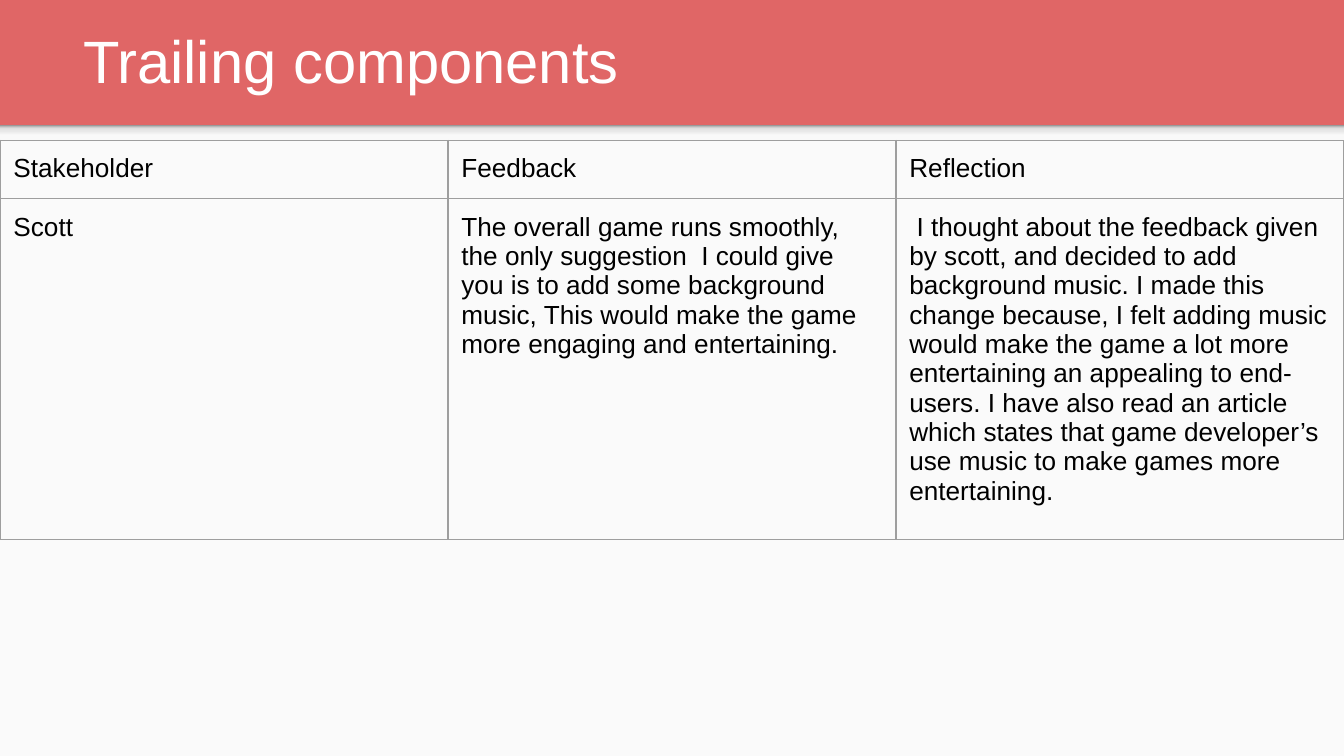
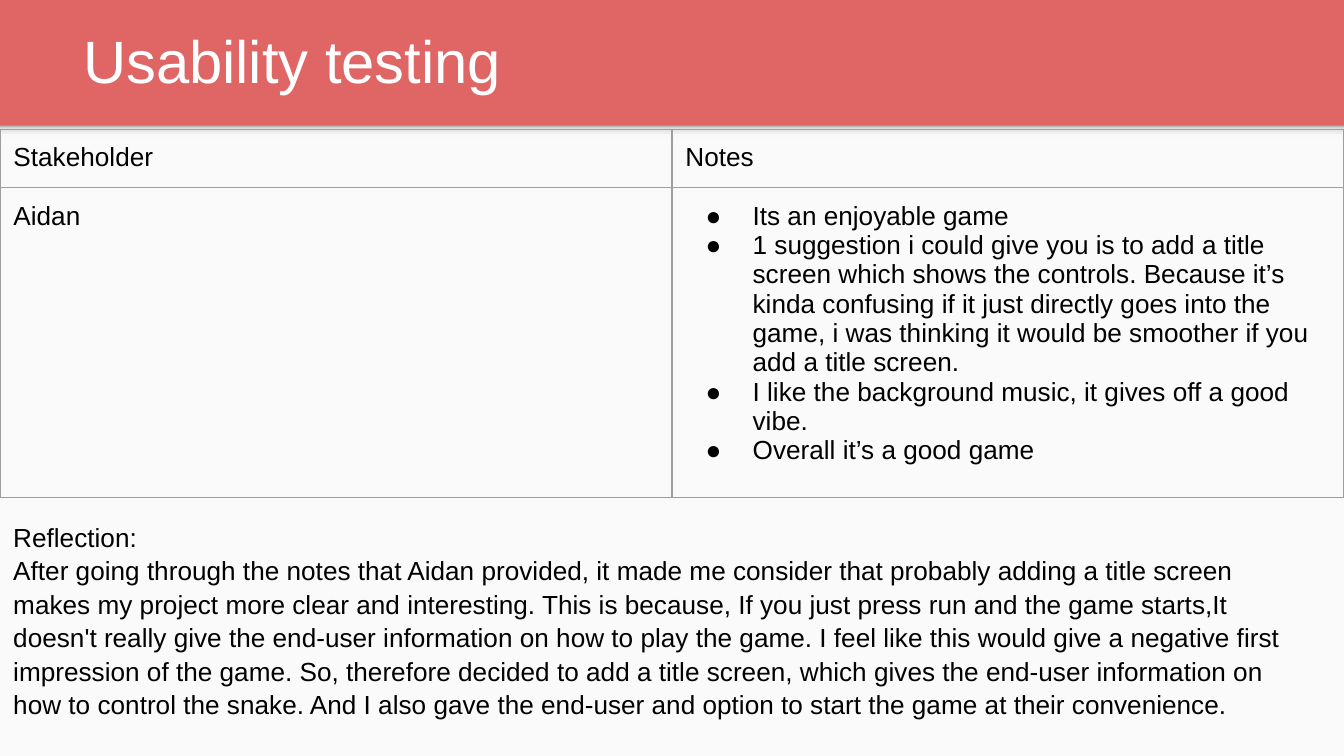
from lxml.etree import SubElement
from pptx import Presentation
from pptx.dml.color import RGBColor
from pptx.enum.shapes import MSO_SHAPE
from pptx.enum.text import MSO_ANCHOR
from pptx.oxml import parse_xml
from pptx.oxml.ns import nsdecls, qn
from pptx.util import Pt

# Content
TRAILING_ROWS = [
    [["Stakeholder"], ["Feedback"], ["Reflection"]],
    [
        ["Scott"],
        ["The overall game runs smoothly, the only suggestion  I could give you is to add "
         "some background music, This would make the game more engaging and entertaining."],
        [" I thought about the feedback given by scott, and decided to add background music. "
         "I made this change because, I felt adding music would make the game a lot more "
         "entertaining an appealing to end-users. I have also read an article which states "
         "that game developer’s use music to make games more entertaining."],
    ],
]
USABILITY_ROWS = [
    [["Stakeholder"], ["Notes"]],
    [
        ["Aidan"],
        ["Its an enjoyable game",
         "1 suggestion i could give you is to add a title screen which shows the controls. "
         "Because it’s kinda confusing if it just directly goes into the game, i was thinking "
         "it would be smoother if you add a title screen.",
         "I like the background music, it gives off a good vibe.",
         "Overall it’s a good game"],
    ],
]
REFLECTION = [
    "Reflection:",
    "After going through the notes that Aidan provided, it made me consider that probably "
    "adding a title screen makes my project more clear and interesting. This is because, If "
    "you just press run and the game starts,It doesn't really give the end-user information "
    "on how to play the game. I feel like this would give a negative first impression of the "
    "game. So, therefore decided to add a title screen, which gives the end-user information "
    "on how to control the snake. And I also gave the end-user and option to start the game "
    "at their convenience.",
]
SLIDES = [
    {"title": "Trailing components", "rows": TRAILING_ROWS,
     "table_top": 75.3, "row_heights": (31, 30), "reflection": []},
    {"title": "Usability testing", "rows": USABILITY_ROWS,
     "table_top": 69.4, "row_heights": (31, 132), "reflection": REFLECTION},
]

# Shared style
WIDTH, HEIGHT = 720, 405
BAND_HEIGHT = 67.5
INSET = 7.2
FONT = "Arial"
CORAL = RGBColor(0xE0, 0x66, 0x66)
PAPER = RGBColor(0xFA, 0xFA, 0xFA)
WHITE = RGBColor(0xFF, 0xFF, 0xFF)
BLACK = RGBColor(0x00, 0x00, 0x00)
BORDER = RGBColor(0x9E, 0x9E, 0x9E)
SHADOW_STOPS = [
    (0, RGBColor(0xF9, 0xF9, 0xF9)),
    (36, RGBColor(0xF9, 0xF9, 0xF9)),
    (80, RGBColor(0xDE, 0xDE, 0xDE)),
    (100, RGBColor(0x99, 0x99, 0x99)),
]


def add_bullet(paragraph):
    properties = paragraph._p.get_or_add_pPr()
    properties.set("marL", str(Pt(36)))
    properties.set("indent", str(Pt(-25.2)))
    color = SubElement(properties, qn("a:buClr"))
    SubElement(color, qn("a:srgbClr"), val=str(BLACK))
    SubElement(properties, qn("a:buFont"), typeface=FONT)
    SubElement(properties, qn("a:buChar"), char="●")


def write(text_frame, texts, size=14, color=BLACK, bullets=False, spacing=None):
    text_frame.word_wrap = True
    for index, text in enumerate(texts):
        paragraph = text_frame.add_paragraph() if index else text_frame.paragraphs[0]
        if spacing:
            paragraph.line_spacing = spacing
        if bullets:
            add_bullet(paragraph)
        run = paragraph.add_run()
        run.text = text
        run.font.name = FONT
        run.font.size = Pt(size)
        run.font.color.rgb = color


def set_insets(target):
    target.margin_left = target.margin_right = Pt(INSET)
    target.margin_top = target.margin_bottom = Pt(INSET)


def add_text(slide, box, texts, anchor=MSO_ANCHOR.TOP, **style):
    text_frame = slide.shapes.add_textbox(*map(Pt, box)).text_frame
    set_insets(text_frame)
    text_frame.vertical_anchor = anchor
    write(text_frame, texts, **style)


def add_panel(slide, top, height):
    panel = slide.shapes.add_shape(MSO_SHAPE.RECTANGLE, 0, Pt(top), Pt(WIDTH), Pt(height))
    panel.shadow.inherit = False
    panel.line.fill.background()
    panel.fill.solid()
    panel.fill.fore_color.rgb = PAPER
    return panel


def fill_with_shadow(shape):
    stops = "".join(
        f'<a:gs pos="{position * 1000}"><a:srgbClr val="{color}"/></a:gs>'
        for position, color in SHADOW_STOPS
    )
    gradient = parse_xml(
        f'<a:gradFill {nsdecls("a")} rotWithShape="1"><a:gsLst>{stops}</a:gsLst>'
        '<a:lin ang="16200000" scaled="0"/></a:gradFill>'
    )
    properties = shape._element.spPr
    properties.replace(properties.find(qn("a:solidFill")), gradient)


def style_cell(cell):
    set_insets(cell)
    cell.fill.background()
    properties = cell._tc.get_or_add_tcPr()
    for index, side in enumerate(("lnL", "lnR", "lnT", "lnB")):
        properties.insert(index, parse_xml(
            f'<a:{side} {nsdecls("a")} w="{Pt(0.75)}"><a:solidFill>'
            f'<a:srgbClr val="{BORDER}"/></a:solidFill></a:{side}>'
        ))


def add_grid(slide, rows, top, heights):
    column_count = len(rows[0])
    table = slide.shapes.add_table(
        len(rows), column_count, 0, Pt(top), Pt(WIDTH), Pt(sum(heights))
    ).table
    table.first_row = table.horz_banding = False
    for column in table.columns:
        column.width = Pt(WIDTH / column_count)
    for row_index, row in enumerate(rows):
        table.rows[row_index].height = Pt(heights[row_index])
        for column_index, texts in enumerate(row):
            cell = table.cell(row_index, column_index)
            style_cell(cell)
            write(cell.text_frame, texts, bullets=len(texts) > 1)


def add_slide(presentation, content):
    slide = presentation.slides.add_slide(presentation.slide_layouts[6])
    # Paper area, with the shadow under the coral band
    add_panel(slide, BAND_HEIGHT, HEIGHT - BAND_HEIGHT)
    fill_with_shadow(add_panel(slide, 67, 8.6))
    # Title
    add_text(slide, (37.4, -2, 647, 60.3), [content["title"]],
             anchor=MSO_ANCHOR.BOTTOM, size=32, color=WHITE)
    # Table and reflection
    add_grid(slide, content["rows"], content["table_top"], content["row_heights"])
    if content["reflection"]:
        add_text(slide, (0, 270.7, 713, 116.6), content["reflection"], spacing=1.07)


def main():
    presentation = Presentation()
    presentation.slide_width = Pt(WIDTH)
    presentation.slide_height = Pt(HEIGHT)
    background = presentation.slide_master.background.fill
    background.solid()
    background.fore_color.rgb = CORAL
    for content in SLIDES:
        add_slide(presentation, content)
    presentation.save("out.pptx")


if __name__ == "__main__":
    main()
